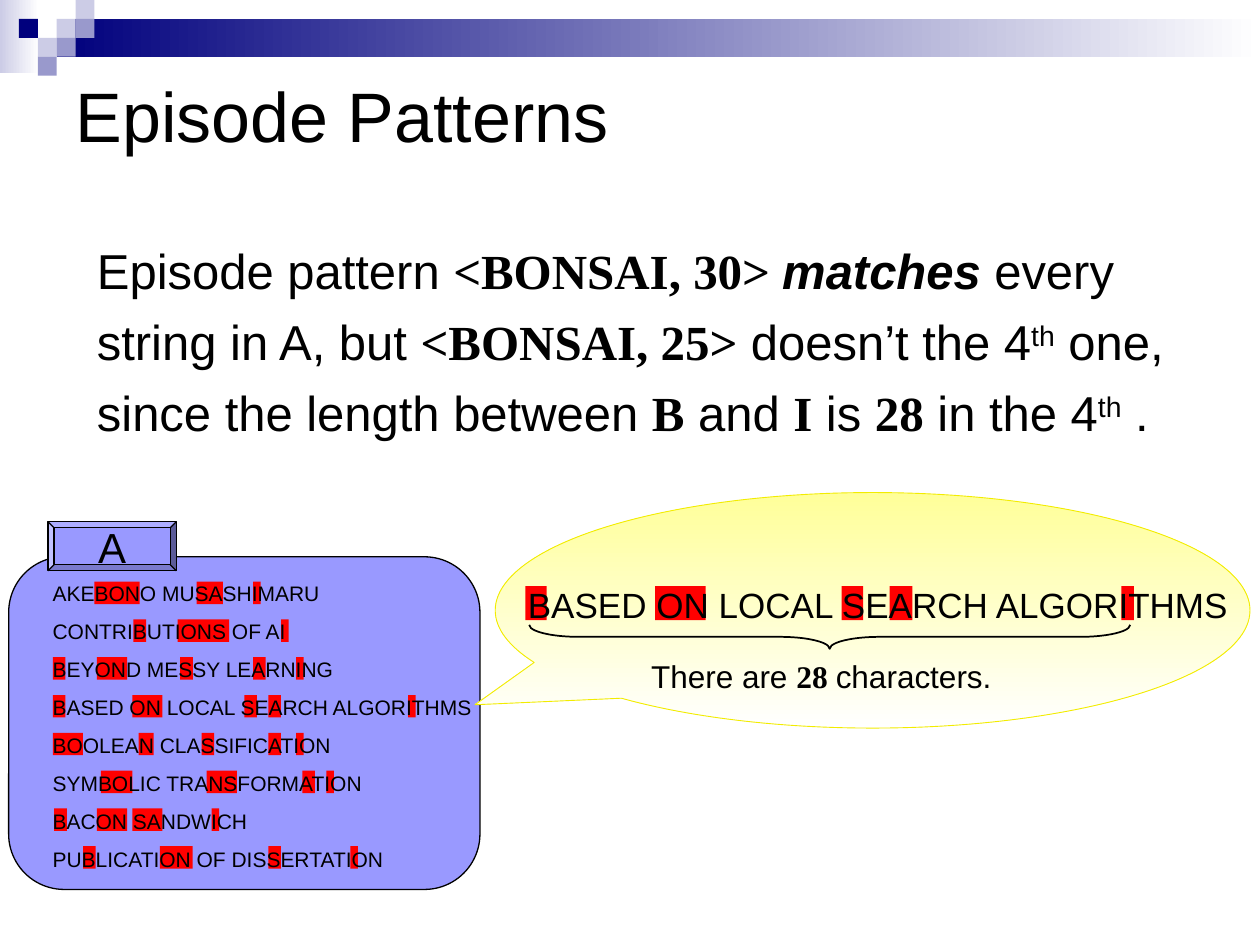
from pptx import Presentation
from pptx.dml.color import RGBColor
from pptx.enum.shapes import MSO_SHAPE
from pptx.enum.text import MSO_ANCHOR, MSO_AUTO_SIZE, PP_ALIGN
from pptx.oxml.xmlchemy import OxmlElement
from pptx.util import Pt

RECTANGLE = MSO_SHAPE.RECTANGLE
ROUNDED = MSO_SHAPE.ROUNDED_RECTANGLE
BEVEL = MSO_SHAPE.BEVEL
CALLOUT = MSO_SHAPE.OVAL_CALLOUT
BRACE = MSO_SHAPE.LEFT_BRACE
MIDDLE = MSO_ANCHOR.MIDDLE
LEFT, CENTER = PP_ALIGN.LEFT, PP_ALIGN.CENTER
NO_AUTOFIT = MSO_AUTO_SIZE.NONE
SANS, SERIF = "Arial", "Times New Roman"
BLACK, RED, LILAC = "000000", "FF0000", "9999FF"
SQUARE = 10.8

deck = Presentation()
deck.slide_width, deck.slide_height = Pt(720), Pt(540)
page = deck.slides.add_slide(deck.slide_layouts[1])


def add_box(kind, left, top, width, height, fill=None, line=None, weight=0.75):
    """Add a preset shape; fill is a hex string or a pair of gradient ends."""
    box = page.shapes.add_shape(kind, Pt(left), Pt(top), Pt(width), Pt(height))
    box.shadow.inherit = False
    if fill is None:
        box.fill.background()
    elif isinstance(fill, str):
        box.fill.solid()
        box.fill.fore_color.rgb = RGBColor.from_string(fill)
    else:
        box.fill.gradient()
        for stop, color in zip(box.fill.gradient_stops, fill):
            stop.color.rgb = RGBColor.from_string(color)
    if line:
        box.line.color.rgb = RGBColor.from_string(line)
        box.line.width = Pt(weight)
    else:
        box.line.fill.background()
    return box


def add_span(para, text, size, font=SANS, bold=False, italic=False):
    span = para.add_run()
    span.text = text
    span.font.name, span.font.size = font, Pt(size)
    span.font.bold, span.font.italic = bold, italic
    span.font.color.rgb = RGBColor.from_string(BLACK)
    return span


# Header band and squares, placed on a grid by column and row
add_box(RECTANGLE, 0, 0, 22.3, 41.8, ("CCCCE6", "FFFFFF")).fill.gradient_angle = 0
add_box(RECTANGLE, 32.4, 10.8, 687.6, 21.6, ("00007D", "FFFFFF")).fill.gradient_angle = 0
for column, row, color in [
    (3, 1, "CCCCE6"), (4, 0, "CCCCE6"), (4, 1, "9999CC"), (2, 2, "CCCCE6"),
    (1, 1, "00007D"), (3, 2, "9999CC"), (2, 3, "9999CC"),
]:
    add_box(RECTANGLE, column * SQUARE, row * SQUARE, SQUARE, SQUARE, color)

# Title
title = page.shapes.title
title.left, title.top, title.width, title.height = Pt(36), Pt(36), Pt(648), Pt(58.3)
title.text_frame.vertical_anchor = MIDDLE
title.text_frame.auto_size = NO_AUTOFIT
para = title.text_frame.paragraphs[0]
para.alignment = LEFT
add_span(para, "Episode Patterns", 40)

# Statement: each span is text and style
body = page.placeholders[1]
body.left, body.top, body.width, body.height = Pt(48.2), Pt(133.9), Pt(629.3), Pt(130.3)
body.text_frame.auto_size = NO_AUTOFIT
statement = [
    [("Episode pattern ", ""), ("<BONSAI, 30> ", "serif"), ("matches", "strong"), (" every", "")],
    [("string in A, but ", ""), ("<BONSAI, 25>", "serif"), (" doesn’t the 4", ""),
     ("th", "raised"), (" one,", "")],
    [("since the length between ", ""), ("B", "serif"), (" and ", ""), ("I", "serif"),
     (" is ", ""), ("28", "serif"), (" in the 4", ""), ("th", "raised"), (" .", "")],
]
for index, spans in enumerate(statement):
    para = body.text_frame.paragraphs[0] if index == 0 else body.text_frame.add_paragraph()
    para.space_before = Pt(7)
    properties = para._p.get_or_add_pPr()
    properties.set("marL", str(Pt(27)))
    properties.set("indent", str(Pt(-27)))
    properties.append(OxmlElement("a:buNone"))
    for text, style in spans:
        span = add_span(para, text, 28, SERIF if style == "serif" else SANS,
                        style in ("serif", "strong"), style == "strong")
        if style == "raised":
            span.font._element.set("baseline", "30000")

# Panel A with its label
add_box(ROUNDED, 5, 318.2, 269.3, 190.1, LILAC, BLACK)
label = add_box(BEVEL, 27.4, 298.1, 73.4, 28.1, LILAC, BLACK)
label.text_frame.word_wrap = False
label.text_frame.vertical_anchor = MIDDLE
para = label.text_frame.paragraphs[0]
para.alignment = CENTER
add_span(para, "A", 24)

# Strings of A, each with the left edge and width of its marks
strings = [
    ("AKEBONO MUSASHIMARU", [(54, 25.9), (112.3, 15.1), (144.7, 4.3)]),
    ("CONTRIBUTIONS OF AI", [(76.3, 7.2), (101.5, 29.5), (160.6, 4.3)]),
    ("BEYOND MESSY LEARNING",
     [(30.2, 7.2), (55.4, 17.3), (103, 7.2), (144.7, 7.2), (169.2, 4.3)]),
    ("BASED ON LOCAL SEARCH ALGORITHMS",
     [(30.2, 7.2), (75.6, 17.3), (139.7, 7.2), (153.4, 7.2), (233.3, 4.3)]),
    ("BOOLEAN CLASSIFICATION",
     [(30.2, 17.3), (79.2, 8.6), (115.2, 7.2), (153.4, 7.2), (169.2, 4.3)]),
    ("SYMBOLIC TRANSFORMATION", [(57.6, 18), (118.1, 17.3), (172.8, 7.2), (186.5, 4.3)]),
    ("BACON SANDWICH", [(31, 7.2), (55.4, 17.3), (75.6, 17.3), (121, 4.3)]),
    ("PUBLICATION OF DISSERTATION", [(47.5, 7.2), (91.4, 18.7), (153.4, 7.2), (200.2, 4.3)]),
]
for row, (text, marks) in enumerate(strings):
    for left, width in marks:
        add_box(RECTANGLE, left, 332.4 + 21.6 * row, width, 12.8, RED)

listing = page.shapes.add_textbox(Pt(23), Pt(324), Pt(254.9), Pt(181.4)).text_frame
listing.word_wrap = True
for row, (text, marks) in enumerate(strings):
    para = listing.paragraphs[0] if row == 0 else listing.add_paragraph()
    para.line_spacing, para.space_before = 1.3, Pt(3)
    add_span(para, text, 12)

# Callout on the fourth string
callout = add_box(CALLOUT, 283, 281.5, 431.3, 134.6, ("FFFF99", "FFFFFF"), "F2EC00", 0.5)
callout.fill.gradient_angle = 270
callout.adjustments[0], callout.adjustments[1] = -0.527, 0.401
for left, width in [(300.2, 12.2), (374.4, 28.8), (481, 12.2), (508.3, 13), (640.8, 7.2)]:
    add_box(RECTANGLE, left, 335, width, 19.4, RED)

# Brace under the string
brace = add_box(BRACE, 467.3, 192.2, 13.7, 343.4, None, BLACK, 1)
brace.rotation = 270
brace.adjustments[0] = 2.08

# Callout texts
for left, top, width, height, size, spans in [
    (294.5, 329.8, 416.2, 31.7, 20, [("BASED ON LOCAL SEARCH ALGORITHMS", SANS)]),
    (365, 372.2, 208.8, 28.8, 18,
     [("There are ", SANS), ("28 ", SERIF), ("characters.", SANS)]),
]:
    frame = page.shapes.add_textbox(Pt(left), Pt(top), Pt(width), Pt(height)).text_frame
    frame.word_wrap = False
    for text, font in spans:
        add_span(frame.paragraphs[0], text, size, font, font == SERIF)

deck.save("out.pptx")
